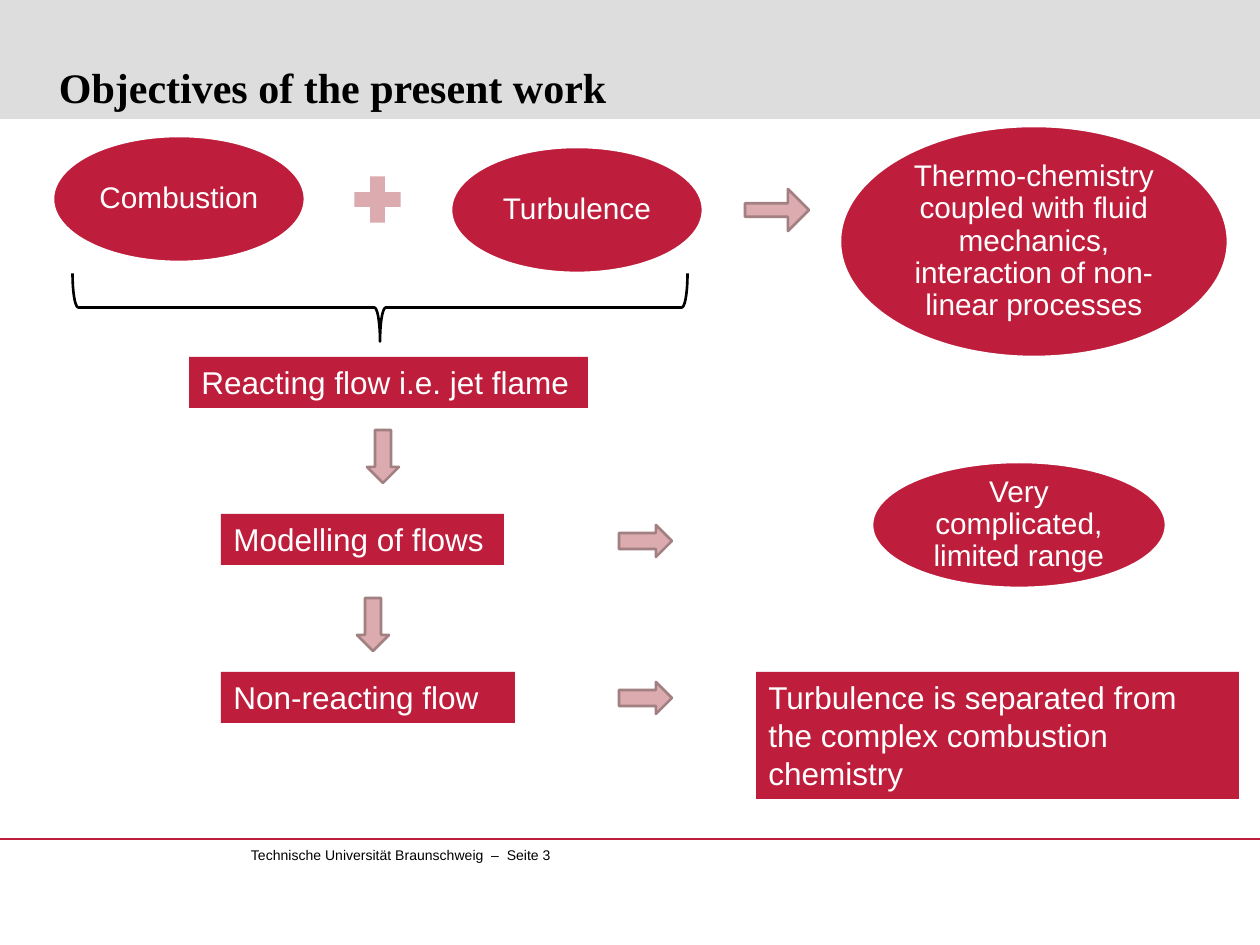
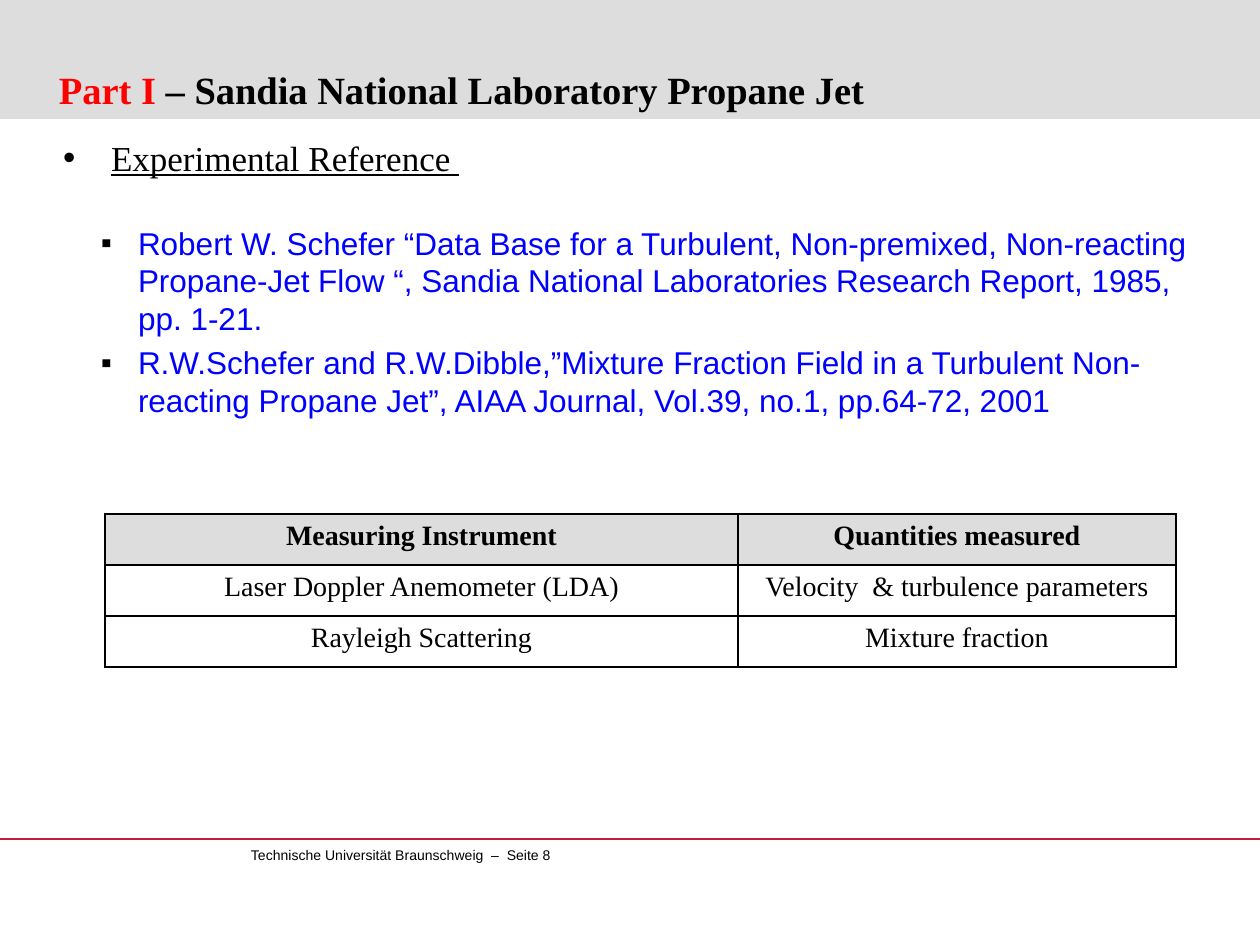
from lxml.etree import SubElement
from pptx import Presentation
from pptx.dml.color import RGBColor
from pptx.enum.shapes import MSO_CONNECTOR, MSO_SHAPE as Preset
from pptx.enum.text import MSO_ANCHOR as Anchor, MSO_AUTO_SIZE as AutoSize, PP_ALIGN as Align
from pptx.oxml.ns import qn
from pptx.util import Pt

PX = 914400 / 126
WIDTH, HEIGHT = 1260, 945
RED, GREY, WHITE, BLACK = "BE1E3C", "DDDDDD", "FFFFFF", "000000"
PINK, MAUVE, BLUE, BRIGHT_RED = "DBABAF", "A27F81", "0000FF", "FF0000"
SANS, SERIF = "Arial", "Times New Roman"

BAND_HEIGHT, RULE_Y = 119, 839
TITLE_BOX = (59, 15, 1154, 97)
FOOTER_BOX = (251, 847, 325, 34)
FOOTER = "Technische Universität Braunschweig  –  Seite {}"

OBJECTIVES_TITLE = [("Objectives of the present work", BLACK)]
TOPICS = [
    ("Combustion", (53, 136, 252, 126)),
    ("Turbulence", (451, 147, 252, 126)),
    ("Thermo-chemistry coupled with fluid mechanics, interaction of non-linear processes",
     (840, 126, 388, 231)),
    ("Very complicated, limited range", (872, 462, 294, 126)),
]
STEPS = [
    ("Reacting flow i.e. jet flame", (189, 357, 399, 51)),
    ("Modelling of flows", (221, 514, 283, 51)),
    ("Non-reacting flow", (221, 672, 294, 51)),
    ("Turbulence is separated from the complex combustion chemistry", (756, 672, 483, 127)),
]
ARROWS = [
    (Preset.RIGHT_ARROW, (745, 189, 64, 42), 0.32),
    (Preset.DOWN_ARROW, (367, 430, 32, 53), 0.5),
    (Preset.DOWN_ARROW, (357, 598, 32, 53), 0.5),
    (Preset.RIGHT_ARROW, (619, 525, 53, 32), 0.5),
    (Preset.RIGHT_ARROW, (619, 682, 53, 32), 0.5),
]
PLUS_BOX = (346, 168, 63, 63)
BRACE_BOX = (346, 0, 68, 615)

PROPANE_TITLE = [("Part I ", BRIGHT_RED), ("– Sandia National Laboratory Propane Jet", BLACK)]
REFERENCES_BOX = (63, 136, 1144, 662)
HEADING = dict(size=Pt(20), name=SERIF, underline=True)
CITATION = dict(size=Pt(18), name=SANS, underline=False)
REFERENCES = [
    ("Experimental Reference ", 0, 0, HEADING, BLACK),
    ("Robert W. Schefer “Data Base for a Turbulent, Non-premixed, Non-reacting Propane-Jet "
     "Flow “, Sandia National Laboratories Research Report, 1985, pp. 1-21.",
     1, 26, CITATION, BLUE),
    ("R.W.Schefer and R.W.Dibble,”Mixture Fraction Field in a Turbulent Non-reacting "
     "Propane Jet”, AIAA Journal, Vol.39, no.1, pp.64-72, 2001", 1, 3.6, CITATION, BLUE),
]
BULLETS = [("•", 48, 48), ("▪", 75, 37)]
MEASUREMENTS = [
    ("Measuring Instrument", "Quantities measured"),
    ("Laser Doppler Anemometer (LDA)", "Velocity  & turbulence parameters"),
    ("Rayleigh Scattering", "Mixture fraction"),
]
MEASUREMENTS_AT, COLUMN_WIDTHS, ROW_HEIGHT = (105, 514), (633, 438), 51


def px(*lengths):
    return [round(length * PX) for length in lengths]


def rgb(color):
    return RGBColor.from_string(color)


def assign(target, formats):
    for key, value in formats.items():
        setattr(target, key, value)


def write(paragraph, text, color, **formats):
    run = paragraph.add_run()
    run.text = text
    run.font.color.rgb = rgb(color)
    assign(run.font, formats)


def set_frame(frame, inset=0, **formats):
    margins = {f"margin_{side}": Pt(inset) for side in ("left", "top", "right", "bottom")}
    assign(frame, {**margins, "word_wrap": True, "auto_size": AutoSize.NONE, **formats})


def place(shape, box):
    assign(shape, dict(zip(("left", "top", "width", "height"), px(*box))))


def add_preset(slide, kind, box, fill=None, line=None):
    shape = slide.shapes.add_shape(kind, *px(*box))
    shape.shadow.inherit = False
    if fill:
        shape.fill.solid()
        shape.fill.fore_color.rgb = rgb(fill)
    else:
        shape.fill.background()
    if line:
        shape.line.color.rgb = rgb(line)
        shape.line.width = Pt(1.5)
    else:
        shape.line.fill.background()
    return shape


def add_master_parts(prs, slide):
    band = add_preset(slide, Preset.RECTANGLE, (0, 0, WIDTH, BAND_HEIGHT), GREY)
    rule = slide.shapes.add_connector(MSO_CONNECTOR.STRAIGHT, *px(0, RULE_Y, WIDTH, RULE_Y))
    rule.line.color.rgb = rgb(RED)
    rule.line.width = Pt(0.75)
    SubElement(rule.element.spPr, qn("a:effectLst"))
    for position, part in enumerate((band, rule), 2):
        prs.slide_master.shapes.element.insert(position, part.element)


def add_slide(prs, layout, title_runs, title_size, number):
    slide = prs.slides.add_slide(prs.slide_layouts[layout])
    title = slide.shapes.title
    place(title, TITLE_BOX)
    set_frame(title.text_frame, vertical_anchor=Anchor.BOTTOM)
    heading = title.text_frame.paragraphs[0]
    heading.alignment = Align.LEFT
    for text, color in title_runs:
        write(heading, text, color, size=Pt(title_size), name=SERIF, bold=True)
    footer = slide.shapes.add_textbox(*px(*FOOTER_BOX)).text_frame
    set_frame(footer, word_wrap=False)
    write(footer.paragraphs[0], FOOTER.format(number), BLACK, size=Pt(8), name=SANS)
    return slide


def build_objectives(slide):
    for text, box in TOPICS:
        topic = add_preset(slide, Preset.OVAL, box, RED, WHITE).text_frame
        set_frame(topic, 1.5, vertical_anchor=Anchor.MIDDLE)
        assign(topic.paragraphs[0], dict(alignment=Align.CENTER, line_spacing=0.9))
        write(topic.paragraphs[0], text, WHITE, size=Pt(17), name=SANS)
    add_preset(slide, Preset.MATH_PLUS, PLUS_BOX, PINK)
    add_preset(slide, Preset.RIGHT_BRACE, BRACE_BOX, line=BLACK).rotation = 90
    for text, box in STEPS:
        step = add_preset(slide, Preset.RECTANGLE, box, RED).text_frame
        assign(step, dict(word_wrap=True, vertical_anchor=Anchor.TOP))
        step.paragraphs[0].alignment = Align.LEFT
        write(step.paragraphs[0], text, WHITE, size=Pt(18), name=SANS)
    for kind, box, shaft in ARROWS:
        add_preset(slide, kind, box, PINK, MAUVE).adjustments[0] = shaft


def add_bullet(paragraph, level):
    mark, margin, hanging = BULLETS[level]
    paragraph.level = level
    props = paragraph._p.get_or_add_pPr()
    props.set("marL", str(px(margin)[0]))
    props.set("indent", str(-px(hanging)[0]))
    SubElement(SubElement(props, qn("a:buClr")), qn("a:srgbClr"), val=BLACK)
    SubElement(props, qn("a:buFont"), typeface=SANS)
    SubElement(props, qn("a:buChar"), char=mark)


def add_borders(cell):
    props = cell._tc.get_or_add_tcPr()
    for side in ("lnL", "lnR", "lnT", "lnB"):
        border = SubElement(props, qn(f"a:{side}"), w=str(Pt(1)))
        SubElement(SubElement(border, qn("a:solidFill")), qn("a:srgbClr"), val=BLACK)


def build_propane(slide):
    body = slide.placeholders[1]
    place(body, REFERENCES_BOX)
    references = body.text_frame
    set_frame(references, vertical_anchor=Anchor.TOP)
    for index, (text, level, gap, formats, color) in enumerate(REFERENCES):
        entry = references.add_paragraph() if index else references.paragraphs[0]
        add_bullet(entry, level)
        entry.space_before = Pt(gap)
        write(entry, text, color, **formats)

    size = (sum(COLUMN_WIDTHS), ROW_HEIGHT * len(MEASUREMENTS))
    table = slide.shapes.add_table(len(MEASUREMENTS), len(COLUMN_WIDTHS),
                                   *px(*MEASUREMENTS_AT, *size)).table
    for column, width in zip(table.columns, px(*COLUMN_WIDTHS)):
        column.width = width
    for row, texts in enumerate(MEASUREMENTS):
        for column, text in enumerate(texts):
            cell = table.cell(row, column)
            add_borders(cell)
            cell.fill.solid()
            cell.fill.fore_color.rgb = rgb(WHITE if row else GREY)
            paragraph = cell.text_frame.paragraphs[0]
            paragraph.alignment = Align.CENTER
            write(paragraph, text, BLACK, size=Pt(16), name=SERIF, bold=row == 0)


def main():
    prs = Presentation()
    prs.slide_width, prs.slide_height = px(WIDTH, HEIGHT)
    objectives = add_slide(prs, 5, OBJECTIVES_TITLE, 24, 3)
    add_master_parts(prs, objectives)
    build_objectives(objectives)
    build_propane(add_slide(prs, 1, PROPANE_TITLE, 22, 8))
    prs.save("out.pptx")


if __name__ == "__main__":
    main()
